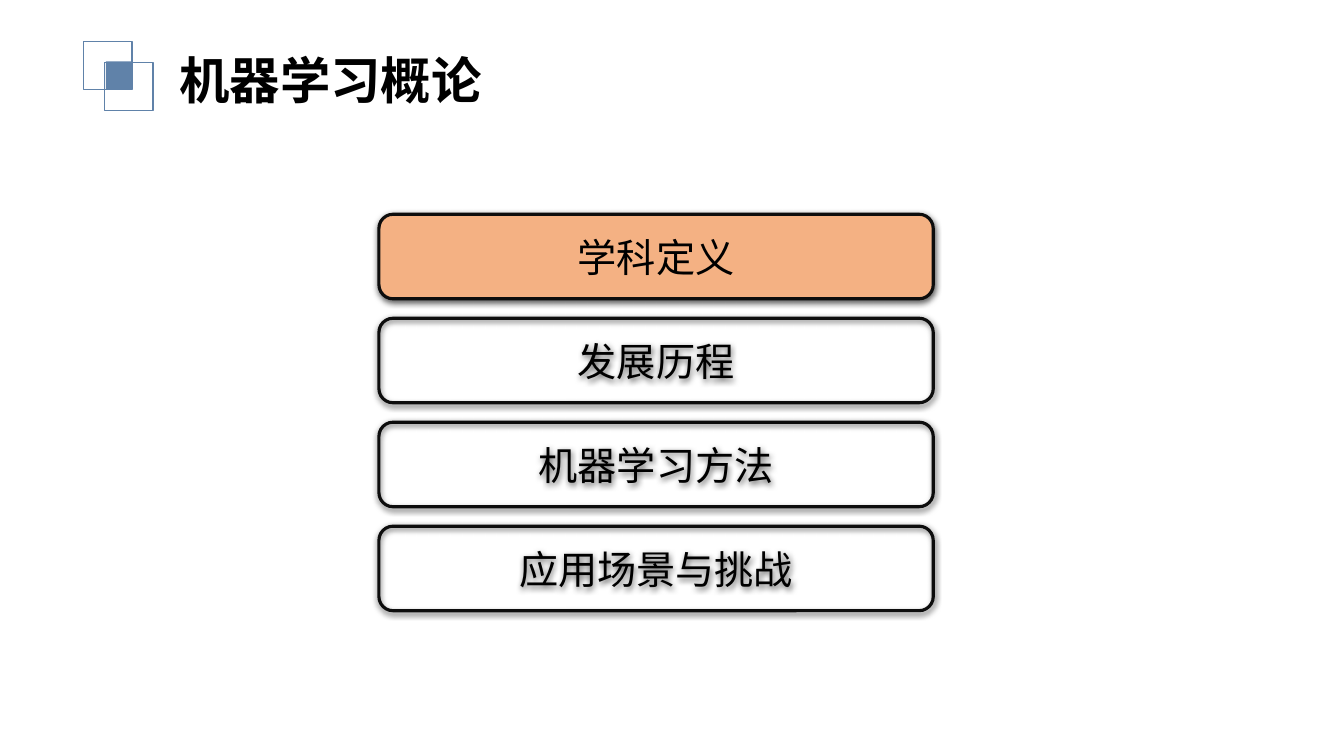
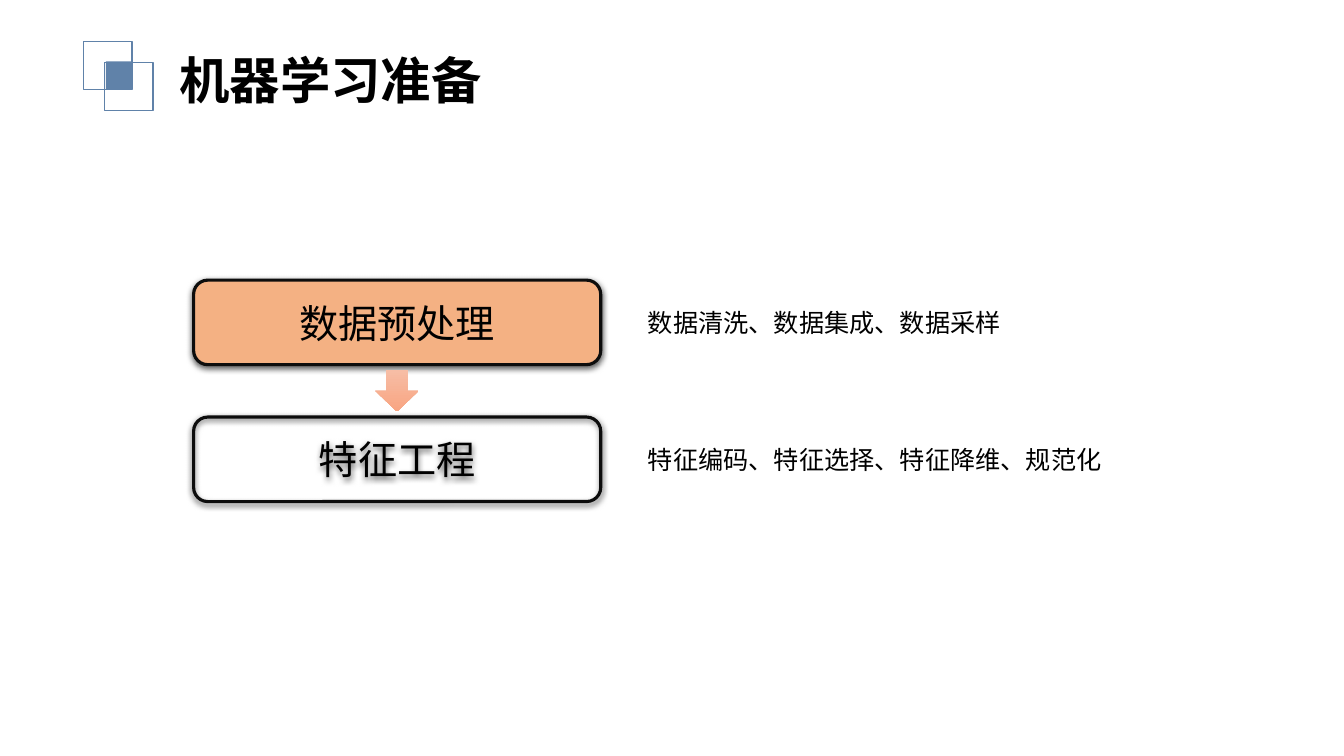
from collections import namedtuple
from dataclasses import dataclass

from lxml.etree import SubElement
from pptx import Presentation
from pptx.dml.color import RGBColor
from pptx.enum.shapes import MSO_SHAPE
from pptx.enum.text import MSO_ANCHOR, MSO_AUTO_SIZE, PP_ALIGN
from pptx.oxml.ns import qn
from pptx.util import Cm, Pt

Box = namedtuple("Box", "left top width height")


@dataclass(frozen=True)
class Theme:
    """Hold the colours, font and type sizes of the deck."""
    font: str = "Noto Sans CJK SC"
    ink: str = "000000"
    edge: str = "0D0D0D"
    blue: str = "6082A9"
    accent: str = "F4B183"
    arrow: tuple = ("F7BDA5", "F8A582")
    title: int = 36
    card: int = 28
    note: int = 18


THEME = Theme()


def place(box):
    """Turn a box in centimetres into lengths."""
    return [Cm(round(value, 2)) for value in box]


def write(frame, text, size, bold=False, align=PP_ALIGN.LEFT, anchor=MSO_ANCHOR.TOP, wrap=True):
    """Write one formatted paragraph into a text frame."""
    frame.word_wrap = wrap
    frame.vertical_anchor = anchor
    line = frame.paragraphs[0]
    line.alignment = align
    run = line.add_run()
    run.text = text
    font = run.font
    font.name, font.size, font.bold = THEME.font, Pt(size), bold
    font.color.rgb = RGBColor.from_string(THEME.ink)
    SubElement(run.font._element, qn("a:ea"), typeface=THEME.font)


def add_label(slide, box, text, size, **format):
    """Add a text box that grows with its text."""
    frame = slide.shapes.add_textbox(*place(box)).text_frame
    write(frame, text, size, **format)
    frame.auto_size = MSO_AUTO_SIZE.SHAPE_TO_FIT_TEXT


def add_form(slide, kind, box, fill=None, line=None, width=1):
    """Add a flat preset shape with optional fill and outline."""
    form = slide.shapes.add_shape(kind, *place(box))
    form.shadow.inherit = False
    if fill:
        form.fill.solid()
        form.fill.fore_color.rgb = RGBColor.from_string(fill)
    else:
        form.fill.background()
    if line:
        form.line.color.rgb = RGBColor.from_string(line)
        form.line.width = Pt(width)
    else:
        form.line.fill.background()
    return form


def add_shadow(form):
    """Give a shape a soft shadow that falls straight down."""
    effects = form._element.spPr.find(qn("a:effectLst"))
    shadow = SubElement(effects, qn("a:outerShdw"), blurRad=str(Pt(4.5)), dist=str(Pt(1.5)),
                        dir="5400000", algn="ctr", rotWithShape="0")
    colour = SubElement(shadow, qn("a:srgbClr"), val=THEME.ink)
    SubElement(colour, qn("a:alpha"), val="63000")


def add_head(slide, box, title):
    """Place the overlapping squares and the title in the header box."""
    side, shift = 1.22, 0.53
    for step in (0, shift):
        square = Box(box.left + step, box.top + step, side, side)
        add_form(slide, MSO_SHAPE.RECTANGLE, square, line=THEME.blue)
    core = Box(box.left + 0.56, box.top + 0.51, 0.64, 0.69)
    add_form(slide, MSO_SHAPE.RECTANGLE, core, fill=THEME.blue)
    label = Box(box.left + 2.16, box.top + 0.08, box.width - 2.16, box.height)
    add_label(slide, label, title, THEME.title, bold=True)


def add_cards(slide, box, texts, pitch):
    """Stack cards from the first box, accent the first, and return their boxes."""
    boxes = [box._replace(top=box.top + pitch * row) for row in range(len(texts))]
    for row, (spot, text) in enumerate(zip(boxes, texts)):
        fill = THEME.accent if row == 0 else None
        card = add_form(slide, MSO_SHAPE.ROUNDED_RECTANGLE, spot, fill, THEME.edge, 2.25)
        add_shadow(card)
        write(card.text_frame, text, THEME.card, align=PP_ALIGN.CENTER, anchor=MSO_ANCHOR.MIDDLE)
    return boxes


def add_arrow(slide, upper, lower):
    """Centre a down arrow in the gap between two boxes."""
    width, height = 1.09, 1.04
    left = upper.left + (upper.width - width) / 2
    top = (upper.top + upper.height + lower.top - height) / 2
    arrow = add_form(slide, MSO_SHAPE.DOWN_ARROW, Box(left, top, width, height))
    arrow.fill.gradient()
    arrow.fill.gradient_angle = 270
    for stop, colour in zip(arrow.fill.gradient_stops, THEME.arrow):
        stop.color.rgb = RGBColor.from_string(colour)


def add_note(slide, card, text, width):
    """Place a note to the right of a card, level with its centre."""
    height = 1.02
    top = card.top + (card.height - height) / 2
    box = Box(card.left + card.width + 0.94, top, width, height)
    add_label(slide, box, text, THEME.note, wrap=False)


def add_page(deck, title):
    """Add a blank slide with the shared header."""
    slide = deck.slides.add_slide(deck.slide_layouts[6])
    add_head(slide, Box(2.11, 1.04, 11.8, 1.8), title)
    return slide


def add_topics(deck):
    """Build the slide that lists the topics."""
    slide = add_page(deck, "机器学习概论")
    topics = ["学科定义", "发展历程", "机器学习方法", "应用场景与挑战"]
    add_cards(slide, Box(9.55, 5.4, 13.97, 2.13), topics, 2.62)


def add_steps(deck):
    """Build the slide that shows the preparation steps."""
    slide = add_page(deck, "机器学习准备")
    cards = add_cards(slide, Box(4.88, 7.06, 10.26, 2.13), ["数据预处理", "特征工程"], 3.45)
    add_arrow(slide, *cards)
    notes = [("数据清洗、数据集成、数据采样", 9.4), ("特征编码、特征选择、特征降维、规范化", 11.94)]
    for card, (text, width) in zip(cards, notes):
        add_note(slide, card, text, width)


def main():
    """Build and save the deck."""
    deck = Presentation()
    deck.slide_width, deck.slide_height = Cm(33.87), Cm(19.05)
    add_topics(deck)
    add_steps(deck)
    deck.save("out.pptx")


if __name__ == "__main__":
    main()
